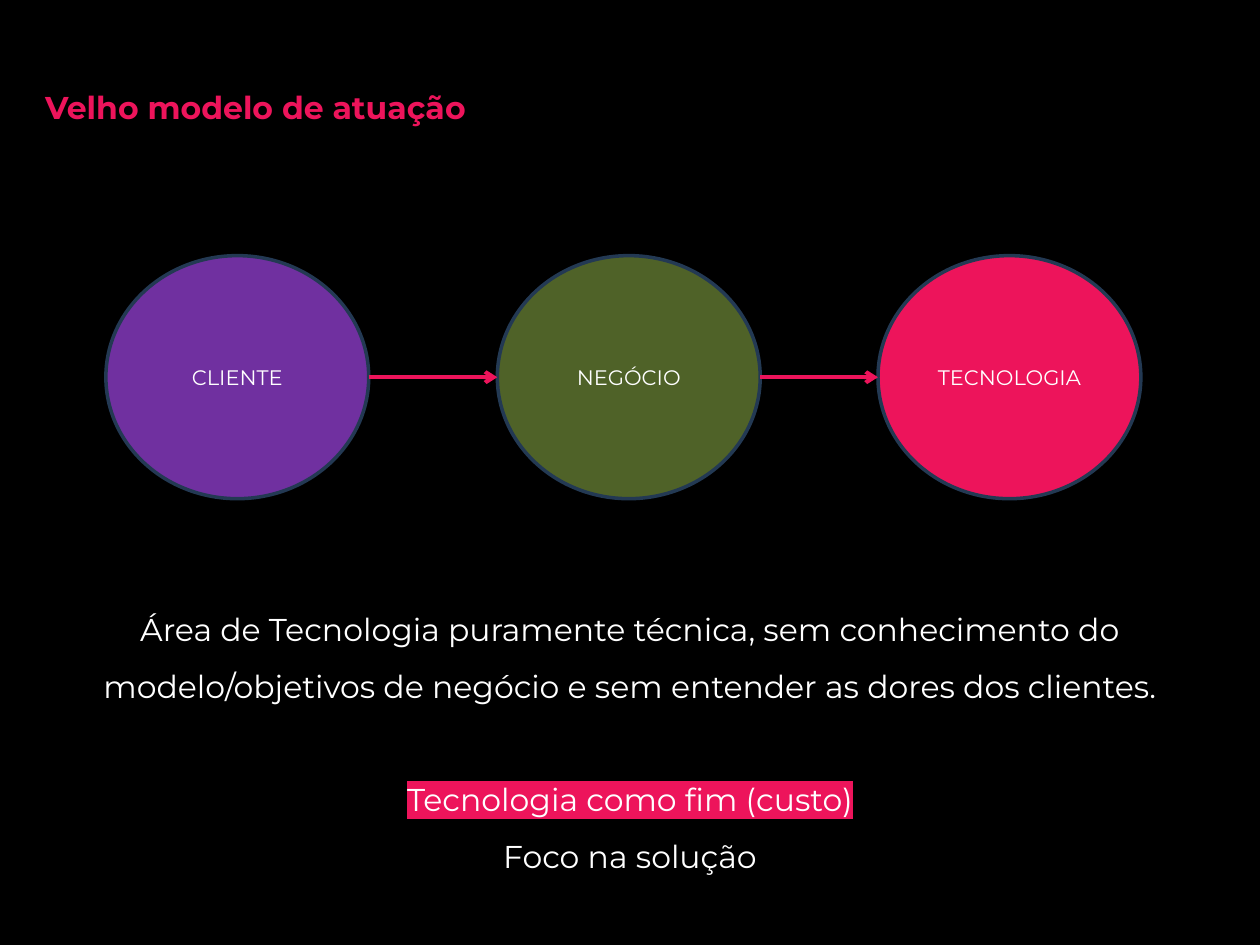
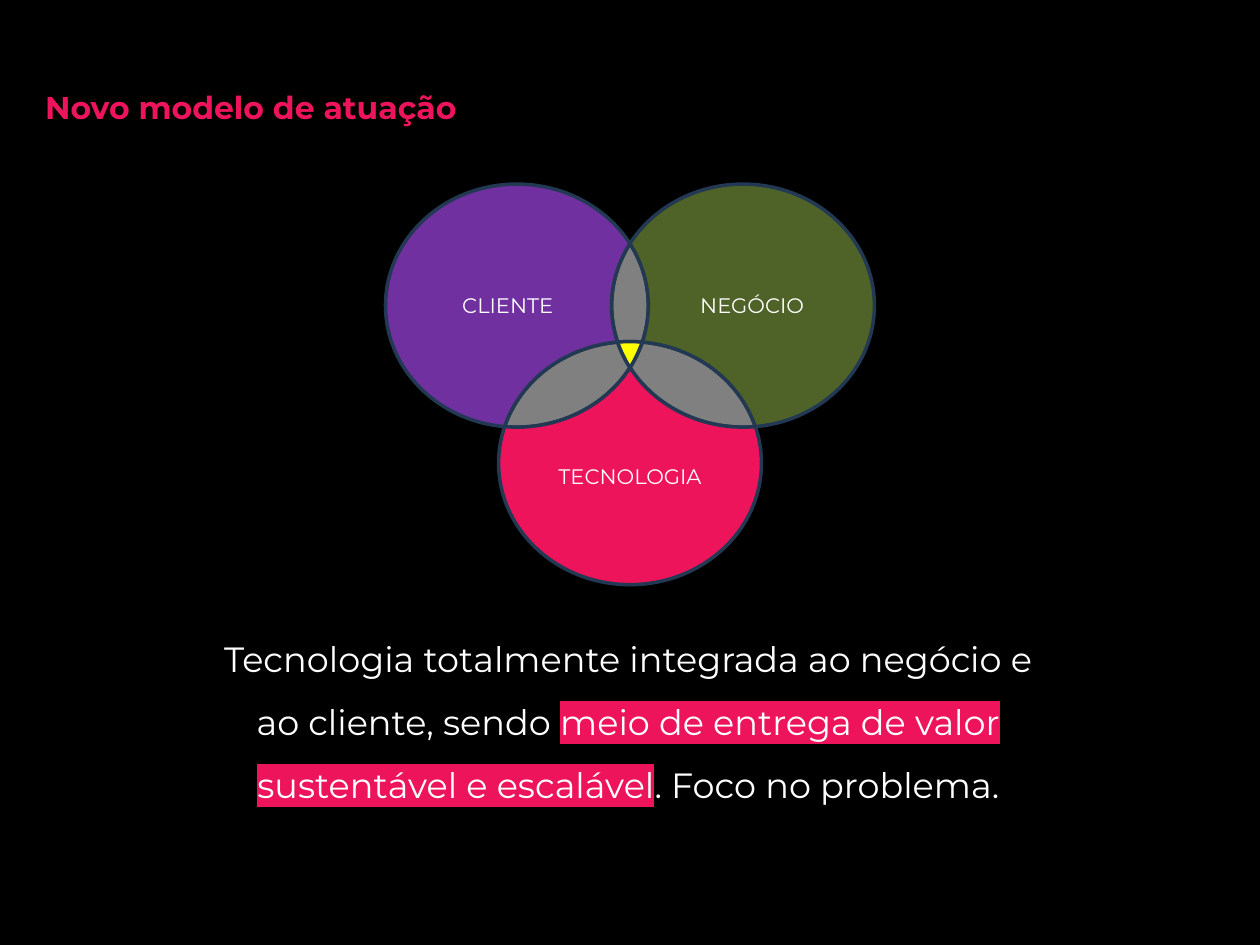
from itertools import pairwise
from math import atan2, ceil, cos, floor, hypot, pi, sin, sqrt, tan

from lxml.etree import SubElement
from pptx import Presentation
from pptx.dml.color import RGBColor
from pptx.enum.shapes import MSO_CONNECTOR as Connector, MSO_SHAPE as Shape
from pptx.enum.text import MSO_ANCHOR as Anchor, MSO_AUTO_SIZE as AutoSize, PP_ALIGN as Align
from pptx.oxml.ns import qn
from pptx.util import Pt

FONT = "Montserrat"
BLACK, WHITE, PINK = "000000", "FFFFFF", "ED145B"
OUTLINE, OVERLAP, CORE = "233953", "808080", "FFFF00"
AREAS = {"CLIENTE": "7030A0", "NEGÓCIO": "4F6228", "TECNOLOGIA": PINK}
CIRCLE_W, CIRCLE_H = 150.2, 138.9
TITLE_BOX = (18.7, 46.8, 681, 29)
QUARTER = pi / 2


def paint(target, color):
    target.solid()
    target.fore_color.rgb = RGBColor.from_string(color)


def add_span(para, text, size, color=WHITE, bold=False, highlight=None):
    span = para.add_run()
    span.text = text
    span.font.size = Pt(size)
    span.font.bold = bold
    paint(span.font.fill, color)
    span.font.name = FONT
    if highlight:
        fill = span.font._element.find(qn("a:solidFill"))
        mark = SubElement(span.font._element, qn("a:highlight"))
        SubElement(mark, qn("a:srgbClr"), val=highlight)
        fill.addnext(mark)


def add_text_box(page, box):
    frame = page.shapes.add_textbox(*map(Pt, box)).text_frame
    frame.word_wrap = True
    frame.auto_size = AutoSize.SHAPE_TO_FIT_TEXT
    return frame


def add_title(page, box, text):
    para = add_text_box(page, box).paragraphs[0]
    add_span(para, text, 18, PINK, bold=True)


def add_message(page, box, size, lines):
    frame = add_text_box(page, box)
    for index, (space_before, spans) in enumerate(lines):
        para = frame.add_paragraph() if index else frame.paragraphs[0]
        para.alignment = Align.CENTER
        para.line_spacing = 1.5
        if space_before:
            para.space_before = Pt(space_before)
        for text, highlight in spans:
            add_span(para, text, size, highlight=highlight)


def style_area(shape, color, label=None):
    shape.shadow.inherit = False
    paint(shape.fill, color)
    paint(shape.line.fill, OUTLINE)
    shape.line.width = Pt(2)
    if label:
        frame = shape.text_frame
        frame.word_wrap = True
        frame.vertical_anchor = Anchor.MIDDLE
        frame.paragraphs[0].alignment = Align.CENTER
        add_span(frame.paragraphs[0], label, 12)


def add_arrow(page, start, end, y):
    arrow = page.shapes.add_connector(Connector.STRAIGHT, Pt(start), Pt(y), Pt(end), Pt(y))
    paint(arrow.line.fill, PINK)
    arrow.line.width = Pt(2.25)
    SubElement(arrow.line._get_or_add_ln(), qn("a:tailEnd"), type="arrow")
    SubElement(arrow._element.spPr, qn("a:effectLst"))


def add_chain(page, left, top):
    lefts = [left, left + 223.7, left + 441.2]
    for x, (label, color) in zip(lefts, AREAS.items()):
        circle = page.shapes.add_shape(Shape.OVAL, Pt(x), Pt(top), Pt(CIRCLE_W), Pt(CIRCLE_H))
        style_area(circle, color, label)
    for x, following in pairwise(lefts):
        add_arrow(page, x + CIRCLE_W, following, top + CIRCLE_H / 2)


def crossing(first, second, side):
    dx, dy = second[0] - first[0], second[1] - first[1]
    gap = hypot(dx, dy)
    reach = side * sqrt(1 - gap * gap / 4) / gap
    return (first[0] + dx / 2 - dy * reach, first[1] + dy / 2 + dx * reach)


def arc_curves(center, start, end, is_outer):
    first, last = (atan2(y - center[1], x - center[0]) for x, y in (start, end))
    sweep = (last - first) % (2 * pi)
    if sweep > pi and not is_outer:
        sweep -= 2 * pi
    low, high = sorted((first, first + sweep))
    extremes = [turn * QUARTER for turn in range(ceil(low / QUARTER), floor(high / QUARTER) + 1)]
    stops = sorted([low, *extremes, high], reverse=sweep < 0)
    curves = []
    for begin, stop in pairwise(stops):
        pull = 4 / 3 * tan((stop - begin) / 4)
        curves.append([
            (center[0] + cos(angle) - tug * sin(angle), center[1] + sin(angle) + tug * cos(angle))
            for angle, tug in ((begin, pull), (stop, -pull), (stop, 0))
        ])
    return curves


def add_curved_shape(page, start, curves):
    builder = page.shapes.build_freeform(*start)
    builder.add_line_segments([curve[-1] for curve in curves], close=True)
    shape = builder.convert_to_shape()
    for segment, curve in zip(list(shape._element.iter(qn("a:lnTo"))), curves):
        segment.tag = qn("a:cubicBezTo")
        segment.remove(segment[0])
        for x, y in curve:
            SubElement(segment, qn("a:pt"), x=str(x - shape.left), y=str(y - shape.top))
    return shape


def add_venn(page, left, top):
    radius_x, radius_y = CIRCLE_W / 2, CIRCLE_H / 2
    shift_x, shift_y = 64.6 / radius_x, 90 / radius_y
    client, business, tech = (1, 1), (1 + 2 * shift_x, 1), (1 + shift_x, 1 + shift_y)
    peak, heart = crossing(client, business, -1), crossing(client, business, 1)
    west, inner_east = crossing(client, tech, 1), crossing(client, tech, -1)
    east, inner_west = crossing(business, tech, -1), crossing(business, tech, 1)
    owners = {"CLIENTE": client, "NEGÓCIO": business, "TECNOLOGIA": tech}
    regions = [
        (None, OVERLAP, [(peak, client), (inner_east, tech), (inner_west, business)]),
        (None, OVERLAP, [(inner_west, business), (heart, client), (west, tech)]),
        (None, OVERLAP, [(inner_east, tech), (east, business), (heart, client)]),
        ("CLIENTE", AREAS["CLIENTE"], [(west, client), (peak, business), (inner_west, tech)]),
        ("NEGÓCIO", AREAS["NEGÓCIO"], [(peak, business), (east, tech), (inner_east, client)]),
        (None, CORE, [(inner_west, tech), (inner_east, client), (heart, business)]),
        ("TECNOLOGIA", AREAS["TECNOLOGIA"], [(heart, business), (east, tech), (west, client)]),
    ]

    def place(point):
        return Pt(left + point[0] * radius_x), Pt(top + point[1] * radius_y)

    for label, color, arcs in regions:
        curves = []
        for (start, center), (end, _) in pairwise(arcs + arcs[:1]):
            for curve in arc_curves(center, start, end, center == owners.get(label)):
                curves.append([place(point) for point in curve])
        style_area(add_curved_shape(page, place(arcs[0][0]), curves), color, label)


def add_page(deck, title):
    page = deck.slides.add_slide(deck.slide_layouts[6])
    paint(page.background.fill, BLACK)
    add_title(page, TITLE_BOX, title)
    return page


def add_old_model(deck):
    page = add_page(deck, "Velho modelo de atuação")
    add_chain(page, 60.5, 146.1)
    add_message(page, (22.3, 334.2, 675.4, 167), 18, [
        (0, [("Área de Tecnologia puramente técnica, sem conhecimento do modelo/objetivos "
              "de negócio e sem entender as dores dos clientes.", None)]),
        (32.4, [("Tecnologia como fim (custo)", PINK)]),
        (0, [("Foco na solução", None)]),
    ])


def add_new_model(deck):
    page = add_page(deck, "Novo modelo de atuação")
    add_message(page, (113.9, 348.5, 490.3, 112.3), 20, [
        (0, [("Tecnologia totalmente integrada ao negócio e ao cliente, sendo ", None),
             ("meio de entrega de valor sustentável e escalável", PINK),
             (". Foco no problema.", None)]),
    ])
    add_venn(page, 220.3, 105.2)


def main():
    deck = Presentation()
    deck.slide_width, deck.slide_height = Pt(720), Pt(540)
    add_old_model(deck)
    add_new_model(deck)
    deck.save("out.pptx")


if __name__ == "__main__":
    main()
